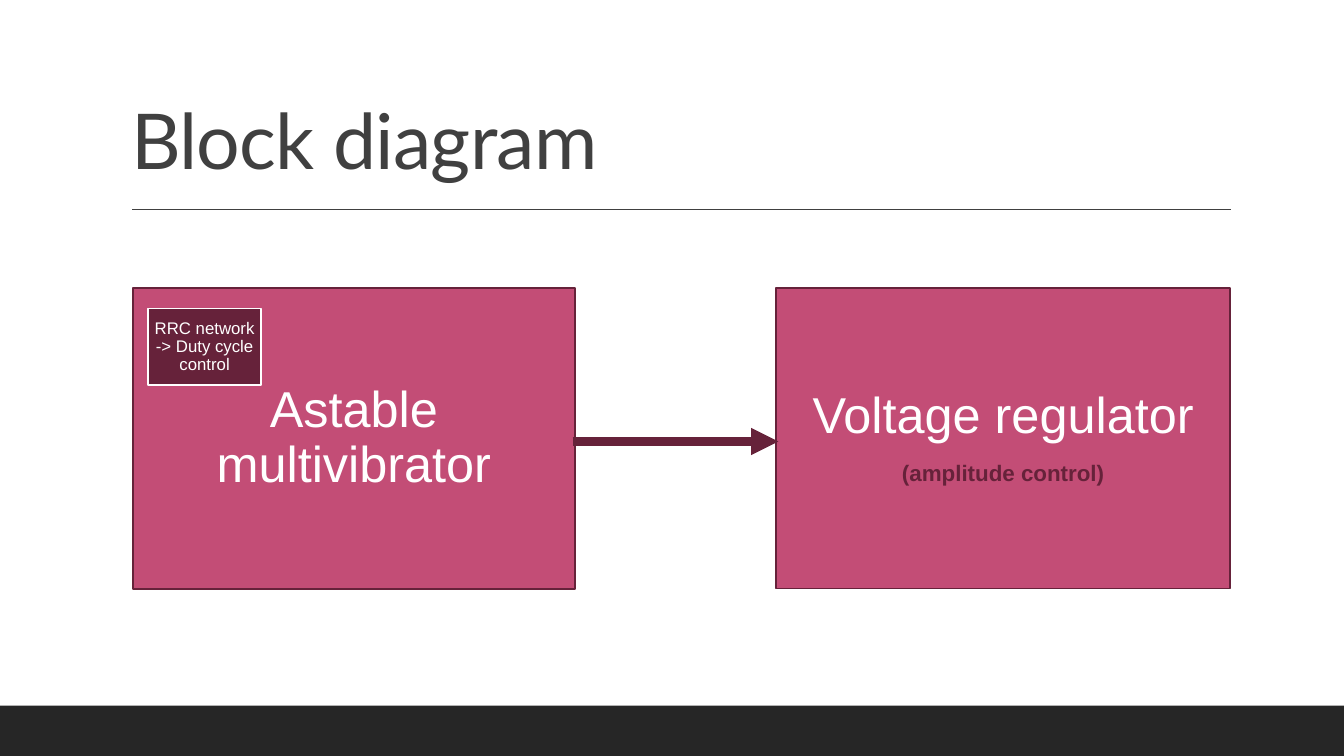
from lxml import etree
from pptx import Presentation
from pptx.dml.color import RGBColor
from pptx.enum.shapes import MSO_CONNECTOR, MSO_SHAPE
from pptx.enum.text import MSO_ANCHOR, PP_ALIGN
from pptx.oxml.ns import qn
from pptx.util import Inches, Pt

RECTANGLE = MSO_SHAPE.RECTANGLE
PROCESS = MSO_SHAPE.FLOWCHART_PROCESS
STRAIGHT = MSO_CONNECTOR.STRAIGHT
MIDDLE, BOTTOM = MSO_ANCHOR.MIDDLE, MSO_ANCHOR.BOTTOM
LEFT, CENTER = PP_ALIGN.LEFT, PP_ALIGN.CENTER

WHITE = RGBColor(0xFF, 0xFF, 0xFF)
PINK = RGBColor(0xC3, 0x4D, 0x76)
PLUM = RGBColor(0x66, 0x22, 0x3A)
GRAY = RGBColor(0x40, 0x40, 0x40)
CHARCOAL = RGBColor(0x26, 0x26, 0x26)

TITLE_ONLY_LAYOUT = 5
SPACE_AFTER_RATIO = 0.35


def write_text(paragraph, text, size, font="Arial", color=WHITE, bold=False,
               align=CENTER, space_after=0, spacing=None):
    paragraph.alignment = align
    paragraph.line_spacing = 0.9
    paragraph.space_after = Pt(space_after)
    run = paragraph.add_run()
    run.text = text
    run.font.size = Pt(size)
    run.font.name = font
    run.font.bold = bold
    run.font.color.rgb = color
    if spacing is not None:
        run.font._element.set("spc", str(round(spacing * 100)))


class DiagramSlide:
    def __init__(self, presentation):
        layout = presentation.slide_layouts[TITLE_ONLY_LAYOUT]
        self.slide = presentation.slides.add_slide(layout)

    def set_margins(self, frame, horizontal, vertical):
        frame.word_wrap = True
        frame.margin_left = frame.margin_right = Inches(horizontal)
        frame.margin_top = frame.margin_bottom = Inches(vertical)

    def title(self, text, left, top, width, height):
        shape = self.slide.shapes.title
        shape.left, shape.top = Inches(left), Inches(top)
        shape.width, shape.height = Inches(width), Inches(height)
        frame = shape.text_frame
        self.set_margins(frame, 0.1, 0.05)
        frame.vertical_anchor = BOTTOM
        write_text(frame.paragraphs[0], text, 55, font="Lato", color=GRAY,
                   align=LEFT, spacing=-0.5)

    def box(self, left, top, width, height, fill, outline=None,
            kind=RECTANGLE, lines=(), margin=0.15):
        shape = self.slide.shapes.add_shape(
            kind, Inches(left), Inches(top), Inches(width), Inches(height))
        shape.shadow.inherit = False
        shape.fill.solid()
        shape.fill.fore_color.rgb = fill
        if outline is None:
            shape.line.fill.background()
        else:
            shape.line.color.rgb = outline
            shape.line.width = Pt(1.25)
        frame = shape.text_frame
        self.set_margins(frame, margin, margin)
        frame.vertical_anchor = MIDDLE
        for index, (text, style) in enumerate(lines):
            paragraph = frame.add_paragraph() if index else frame.paragraphs[0]
            write_text(paragraph, text,
                       space_after=style["size"] * SPACE_AFTER_RATIO, **style)

    def line(self, start, end, y, color, width, arrow=False):
        connector = self.slide.shapes.add_connector(
            STRAIGHT, Inches(start), Inches(y), Inches(end), Inches(y))
        connector.line.color.rgb = color
        connector.line.width = Pt(width)
        if arrow:
            outline = connector.line._get_or_add_ln()
            etree.SubElement(outline, qn("a:tailEnd"), type="triangle")
        etree.SubElement(connector._element.spPr, qn("a:effectLst"))


presentation = Presentation()
presentation.slide_width = Inches(13.33)
presentation.slide_height = Inches(7.5)

diagram = DiagramSlide(presentation)
diagram.box(0, 7, 13.33, 0.5, CHARCOAL)
diagram.line(1.31, 12.21, 2.08, GRAY, 1)
diagram.title("Block diagram", 1.2, 0.31, 11, 1.59)

block_top, block_height = 2.86, 2.98
diagram.box(1.32, block_top, 4.38, block_height, PINK, PLUM, kind=PROCESS,
            lines=[("Astable multivibrator", {"size": 36})])
diagram.box(7.7, block_top, 4.5, block_height, PINK, PLUM,
            lines=[("Voltage regulator", {"size": 36}),
                   ("(amplitude control)",
                    {"size": 16, "color": PLUM, "bold": True})])
diagram.box(1.47, 3.06, 1.12, 0.76, PLUM, WHITE, margin=0.05,
            lines=[("RRC network -> Duty cycle control", {"size": 12})])
diagram.line(5.68, 7.72, 4.38, PLUM, 6.5, arrow=True)

presentation.save("out.pptx")
